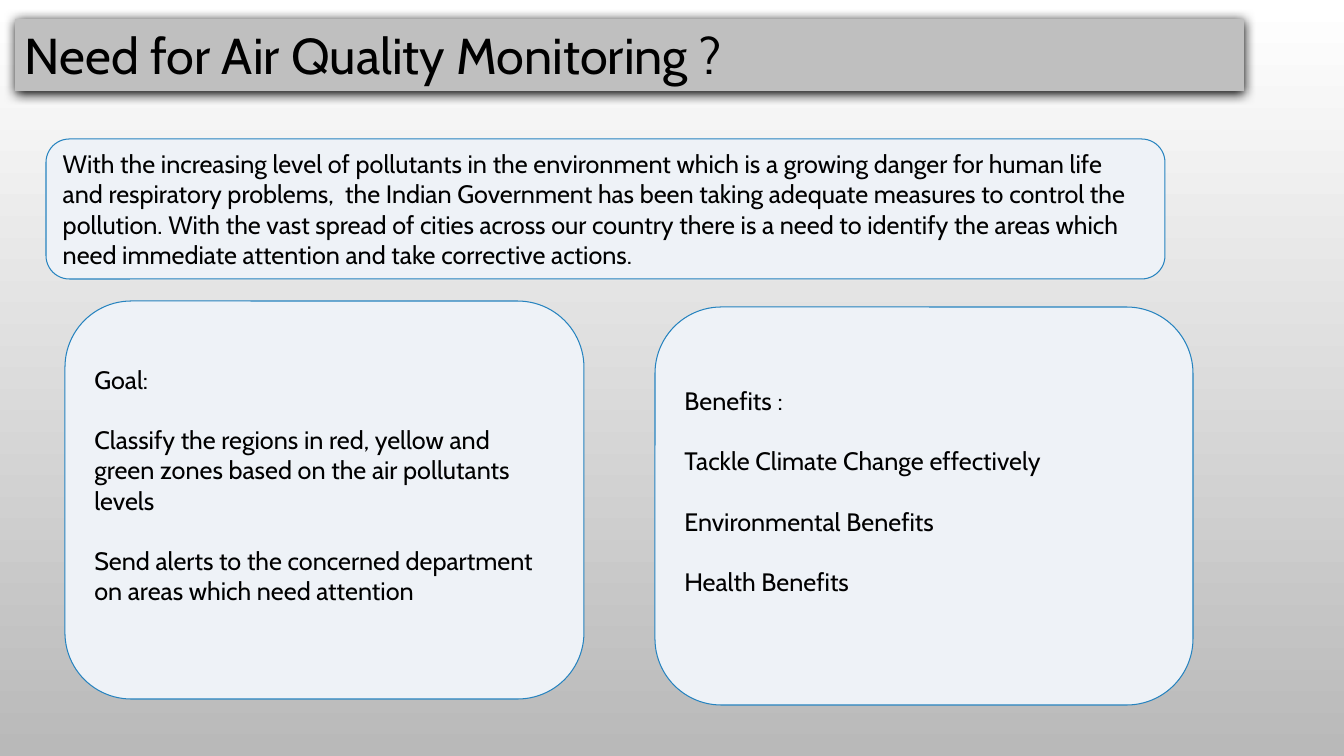
from lxml.etree import SubElement
from pptx import Presentation
from pptx.dml.color import RGBColor
from pptx.enum.shapes import MSO_SHAPE
from pptx.enum.text import MSO_ANCHOR, MSO_AUTO_SIZE, PP_ALIGN
from pptx.oxml.ns import qn
from pptx.util import Inches, Pt

TITLE = "Need for Air Quality Monitoring ?"
INTRO = [
    "With the increasing level of pollutants in the environment which is a growing danger for human life",
    "and respiratory problems,  the Indian Government has been taking adequate measures to control the",
    "pollution. With the vast spread of cities across our country there is a need to identify the areas which",
    "need immediate attention and take corrective actions.",
]
GOAL = [
    "Goal:",
    "Classify the regions in red, yellow and green zones based on the air pollutants levels",
    "Send alerts to the concerned department on areas which need attention",
]
BENEFITS = [
    "Benefits :",
    "Tackle Climate Change effectively",
    "Environmental Benefits",
    "Health Benefits",
]

TITLE_PLACE = (15, 19, 1229, 72)
LINE_HEIGHT = 30
PANELS = [
    (INTRO, (46, 139, 1119, 140), 0),
    (GOAL, (65, 301, 519, 398), LINE_HEIGHT),
    (BENEFITS, (655, 307, 538, 398), LINE_HEIGHT),
]

FONT = "Cabin"
BLACK = RGBColor(0, 0, 0)
WHITE = RGBColor(255, 255, 255)
SILVER = RGBColor(0xB9, 0xB9, 0xB9)
GREY = RGBColor(0xBF, 0xBF, 0xBF)
PALE_BLUE = RGBColor(0xEE, 0xF2, 0xF7)
BLUE = RGBColor(0x26, 0x83, 0xBF)


def px(length):
    return round(length * Inches(1) / 100.8)


def add_box(page, kind, place, color):
    box = page.shapes.add_shape(kind, *map(px, place))
    box.shadow.inherit = False
    box.fill.solid()
    box.fill.fore_color.rgb = color
    box.text_frame.word_wrap = True
    return box


def write(box, lines, size, gap=0):
    frame = box.text_frame
    for index, line in enumerate(lines):
        para = frame.add_paragraph() if index else frame.paragraphs[0]
        para.alignment = PP_ALIGN.LEFT
        if index < len(lines) - 1:
            para.space_after = px(gap)
        span = para.add_run()
        span.text = line
        span.font.name = FONT
        span.font.size = Pt(size)
        span.font.color.rgb = BLACK


def add_shadow(box, blur, distance, angle):
    effects = box._element.spPr.find(qn("a:effectLst"))
    shadow = SubElement(
        effects, qn("a:outerShdw"), blurRad=str(Pt(blur)),
        dist=str(Pt(distance)), dir=str(angle * 60000), rotWithShape="0")
    SubElement(shadow, qn("a:srgbClr"), val=str(BLACK))


def add_title(page):
    box = add_box(page, MSO_SHAPE.RECTANGLE, TITLE_PLACE, GREY)
    box.line.fill.background()
    add_shadow(box, 8.5, 1, 90)
    box.text_frame.vertical_anchor = MSO_ANCHOR.TOP
    box.text_frame.auto_size = MSO_AUTO_SIZE.SHAPE_TO_FIT_TEXT
    write(box, [TITLE], 36)


def add_panel(page, lines, place, gap):
    box = add_box(page, MSO_SHAPE.ROUNDED_RECTANGLE, place, PALE_BLUE)
    box.line.color.rgb = BLUE
    box.line.width = Pt(0.75)
    box.text_frame.vertical_anchor = MSO_ANCHOR.MIDDLE
    box.text_frame.margin_bottom += px(gap)
    write(box, lines, 18, gap)


def main():
    deck = Presentation()
    deck.slide_width, deck.slide_height = px(1344), px(756)
    page = deck.slides.add_slide(deck.slide_layouts[6])
    backdrop = page.background.fill
    backdrop.gradient()
    backdrop.gradient_angle = 270
    for stop, color in zip(backdrop.gradient_stops, (WHITE, SILVER)):
        stop.color.rgb = color
    add_title(page)
    for lines, place, gap in PANELS:
        add_panel(page, lines, place, gap)
    deck.save("out.pptx")


if __name__ == "__main__":
    main()
